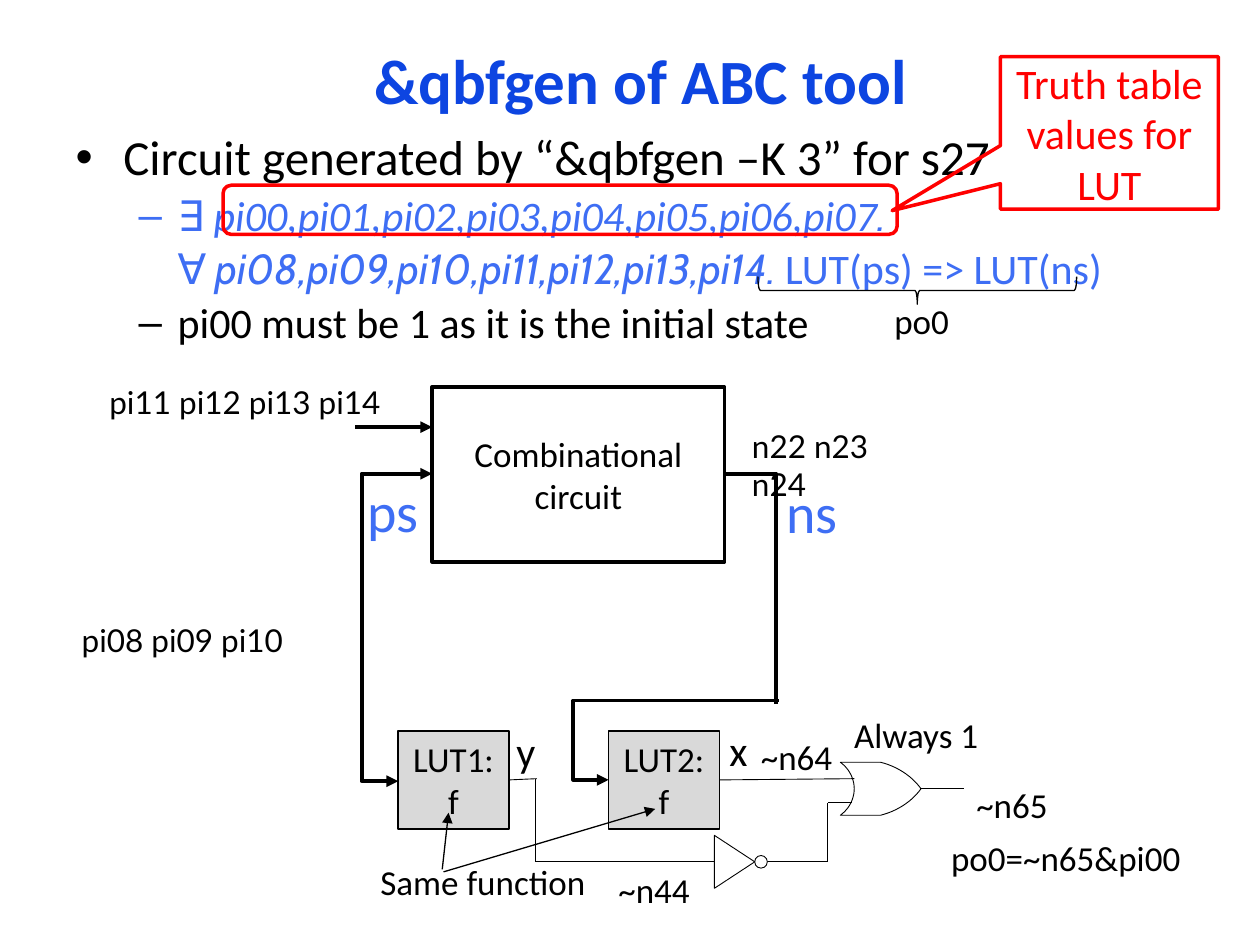
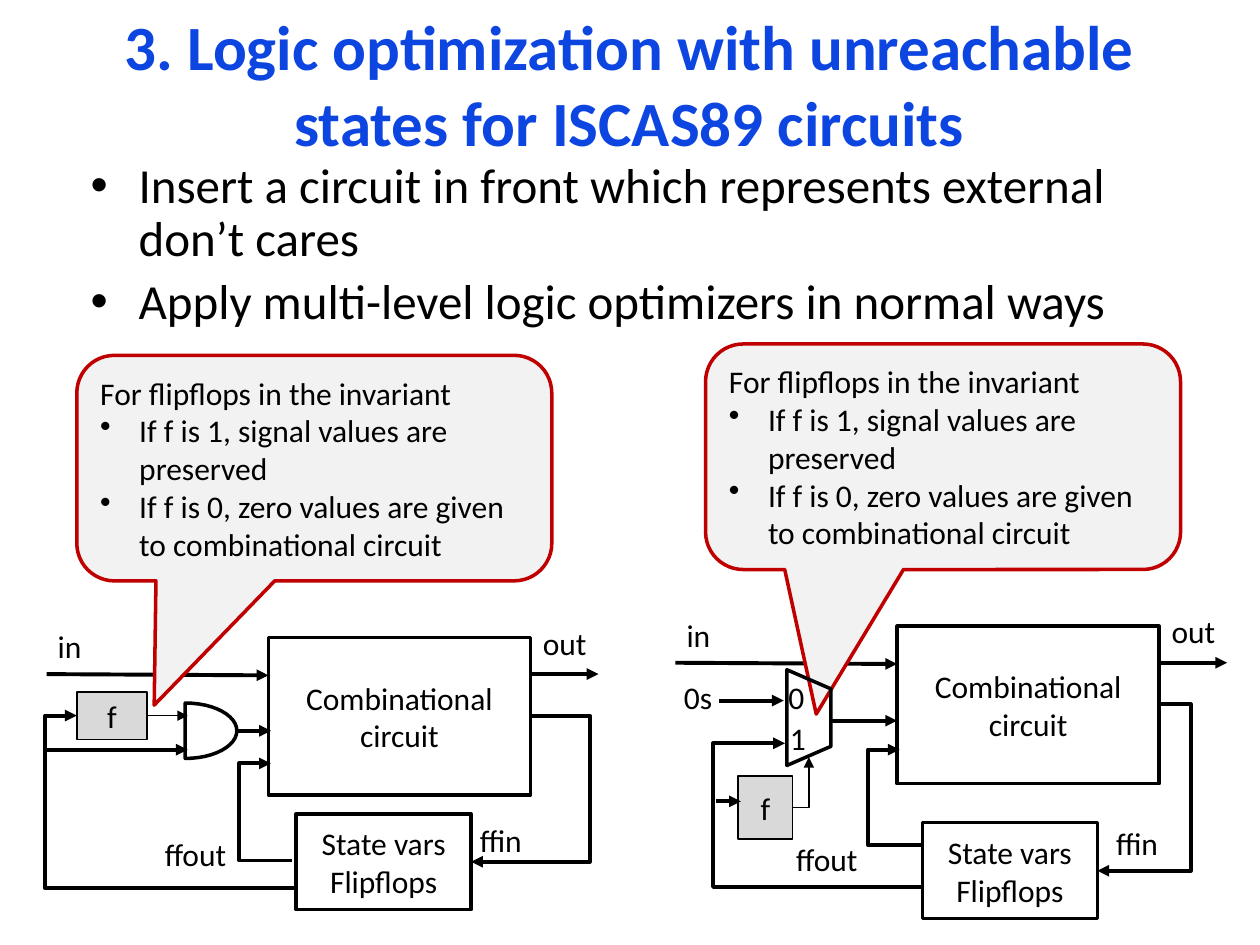
from pptx import Presentation
from pptx.dml.color import RGBColor
from pptx.enum.shapes import MSO_CONNECTOR, MSO_SHAPE
from pptx.enum.text import MSO_ANCHOR, MSO_AUTO_SIZE, PP_ALIGN
from pptx.oxml.ns import qn
from pptx.util import Inches, Pt
from lxml import etree

COLORS = {"title": "0D45E1", "accent": "3E6EF4", "ink": "000000", "gate": "D9D9D9",
          "white": "FFFFFF", "mark": "FF0000", "note": "F2F2F2", "note_line": "C00000"}
FONT, FORMULA_FONT, SIGNAL_FONT = "Calibri", "Cabin", "Lato"
CENTER, LEFT = PP_ALIGN.CENTER, PP_ALIGN.LEFT
MIDDLE, TOP = MSO_ANCHOR.MIDDLE, MSO_ANCHOR.TOP
NO_FIT = MSO_AUTO_SIZE.NONE
STRAIGHT, ELBOW = MSO_CONNECTOR.STRAIGHT, MSO_CONNECTOR.ELBOW
RECT, ROUND_RECT, OVAL = MSO_SHAPE.RECTANGLE, MSO_SHAPE.ROUNDED_RECTANGLE, MSO_SHAPE.OVAL
BRACE, MUX = MSO_SHAPE.RIGHT_BRACE, MSO_SHAPE.FLOWCHART_MANUAL_OPERATION
CALLOUT, ROUND_CALLOUT = MSO_SHAPE.RECTANGULAR_CALLOUT, MSO_SHAPE.ROUNDED_RECTANGULAR_CALLOUT
RIGHT_SIDE = 3
THIN, FINE, BOLD = 0.5, 0.75, 2.25


def rgb(name):
    return RGBColor.from_string(COLORS[name])


def add_run(p, text, size, color="ink", font=FONT, bold=False, italic=False):
    r = p.add_run()
    r.text = text
    r.font.size, r.font.name = Pt(size), font
    r.font.bold, r.font.italic = bold, italic
    r.font.color.rgb = rgb(color)


def set_indent(p, left, first, bullet=None):
    pPr = p._p.get_or_add_pPr()
    pPr.set("marL", str(Inches(left)))
    pPr.set("indent", str(Inches(first)))
    if bullet:
        etree.SubElement(pPr, qn("a:buChar")).set("char", bullet)
    else:
        etree.SubElement(pPr, qn("a:buNone"))


def paragraphs(tf, count):
    return [tf.paragraphs[0]] + [tf.add_paragraph() for _ in range(count - 1)]


def place(sp, box):
    sp.left, sp.top, sp.width, sp.height = map(Inches, box)


def style(sp, fill=None, line="ink", width=2):
    sp.shadow.inherit = False
    if fill:
        sp.fill.solid()
        sp.fill.fore_color.rgb = rgb(fill)
    else:
        sp.fill.background()
    sp.line.color.rgb = rgb(line)
    sp.line.width = Pt(width)


def add_box(s, kind, box, text="", size=20, fill=None, line="ink", width=2, color="ink", adj=()):
    sp = s.shapes.add_shape(kind, *map(Inches, box))
    style(sp, fill, line, width)
    for i, value in enumerate(adj):
        sp.adjustments[i] = value
    if text:
        lines = text.split("\n")
        for p, part in zip(paragraphs(sp.text_frame, len(lines)), lines):
            p.alignment = CENTER
            add_run(p, part, size, color)
    return sp


def add_label(s, box, text, size=20, color="ink", font=FONT, wrap=False):
    tf = s.shapes.add_textbox(*map(Inches, box)).text_frame
    tf.word_wrap = wrap
    add_run(tf.paragraphs[0], text, size, color, font)


def add_wire(s, start, end, width=BOLD, arrow=True, bend=None, source=None):
    kind = STRAIGHT if bend is None else ELBOW
    c = s.shapes.add_connector(kind, *map(Inches, (*start, *end)))
    if source is not None:
        c.begin_connect(source, RIGHT_SIDE)
    if bend is not None:
        if bend == end[0]:
            c._element.spPr.find(qn("a:prstGeom")).set("prst", "bentConnector2")
        else:
            geom = c._element.spPr.find(qn("a:prstGeom"))
            guides = geom.find(qn("a:avLst"))
            if guides is None:
                guides = etree.SubElement(geom, qn("a:avLst"))
            ratio = (bend - start[0]) / (end[0] - start[0])
            etree.SubElement(guides, qn("a:gd"), name="adj1", fmla=f"val {round(ratio * 100000)}")
    c.line.color.rgb = rgb("ink")
    c.line.width = Pt(width)
    if arrow:
        etree.SubElement(c.line._get_or_add_ln(), qn("a:tailEnd")).set("type", "triangle")
    etree.SubElement(c._element.spPr, qn("a:effectLst"))


def bezier(a, b, c, d, steps=12):
    def point(t):
        u = 1 - t
        return tuple(u**3 * i + 3 * u * u * t * j + 3 * u * t * t * k + t**3 * m
                     for i, j, k, m in zip(a, b, c, d))
    return [point(n / steps) for n in range(steps + 1)]


def add_outline(s, points, fill=None, width=2):
    pts = [(Inches(x), Inches(y)) for x, y in points]
    builder = s.shapes.build_freeform(*pts[0])
    builder.add_line_segments(pts[1:], close=True)
    style(builder.convert_to_shape(), fill, width=width)


def add_slide(prs, title, title_box, body_box, items):
    s = prs.slides.add_slide(prs.slide_layouts[1])
    head, body = s.shapes.title, s.placeholders[1]
    for sp, box, anchor in ((head, title_box, MIDDLE), (body, body_box, TOP)):
        place(sp, box)
        sp.text_frame.auto_size = NO_FIT
        sp.text_frame.word_wrap = True
        sp.text_frame.vertical_anchor = anchor
    p = head.text_frame.paragraphs[0]
    p.alignment = CENTER
    add_run(p, title, 36, "title", bold=True)
    ps = paragraphs(body.text_frame, len(items))
    for p, (level, bullet, runs) in zip(ps, items):
        p.level = level
        left, hang = ((0.38, -0.38), (0.81, -0.31))[level]
        p.line_spacing = 0.9
        if p is ps[0]:
            p.space_before = Pt(0)
        set_indent(p, left, hang if bullet else 0, bullet)
        for text, fmt in runs:
            add_run(p, text, (28, 24)[level], **fmt)
    return s


def draw_next_state_logic(s, x, y):
    add_box(s, RECT, (x + 0.61, y, 2.32, 1.39), "Combinational\ncircuit")
    add_wire(s, (x + 2.93, y + 0.69), (x + 3.34, y + 2.49), arrow=False, bend=x + 3.34)
    add_wire(s, (x + 0.05, y + 2.21), (x + 0.61, y + 0.69), bend=x + 0.05)
    add_wire(s, (x, y + 0.32), (x + 0.61, y + 0.32))
    add_wire(s, (x + 0.05, y + 1.96), (x + 0.34, y + 3.13), bend=x + 0.05)
    add_wire(s, (x + 3.36, y + 2.49), (x + 2.01, y + 3.12), bend=x + 1.73)
    add_wire(s, (x + 3.34, y + 1.5), (x + 3.34, y + 2.52), arrow=False)
    add_label(s, (x, y + 0.66, 0.62, 0.64), "ps", 32, "accent")
    add_label(s, (x + 3.32, y + 0.67, 0.63, 0.64), "ns", 32, "accent")
    for dx, dy, w, text, wrap in ((-2.27, 1.81, 1.97, "pi08 pi09 pi10", False),
                                  (-2.05, -0.08, 2.66, "pi11 pi12 pi13 pi14", True),
                                  (3.05, 0.27, 1.4, "n22 n23 n24", True)):
        add_label(s, (x + dx, y + dy, w, 0.4), text, 18, font=SIGNAL_FONT, wrap=wrap)


def draw_lut_check(s, x, y):
    luts = [add_box(s, RECT, (x + dx, y, 0.88, 0.78), f"{name}:\nf", fill="gate", width=1)
            for name, dx in (("LUT1", 0), ("LUT2", 1.67))]
    for start, end in (((0.35, 1.1), (0.4, 0.65)), ((0.36, 1.12), (2.04, 0.62))):
        add_wire(s, (x + start[0], y + start[1]), (x + end[0], y + end[1]), FINE)
    add_wire(s, (x + 0.88, y + 0.38), (x + 1.1, y + 0.38), THIN, False, source=luts[0])
    add_wire(s, (x + 2.55, y + 0.38), (x + 3.62, y + 0.38), THIN, False, source=luts[1])
    for x1, y1, x2, y2 in ((1.09, 0.38, 1.09, 1.04), (1.09, 1.04, 3.41, 1.04),
                           (3.41, 1.04, 3.41, 0.57), (3.41, 0.57, 3.6, 0.57),
                           (4.14, 0.46, 4.49, 0.46)):
        add_wire(s, (x + x1, y + y1), (x + x2, y + y2), THIN, False)
    draw_or_gate(s, x + 3.51, y + 0.25)
    add_box(s, OVAL, (x + 2.83, y + 0.99, 0.1, 0.1), fill="white", width=THIN)
    inverter = ((2.51, 1.25), (2.83, 1.04), (2.51, 0.83))
    add_outline(s, [(x + dx, y + dy) for dx, dy in inverter], "white", THIN)
    for dx, dy, w, text, size in ((-0.24, 0.98, 1.85, "Same function", 20),
                                  (3.52, -0.19, 1.22, "Always 1", 20),
                                  (2.53, -0.1, 0.33, "x", 24), (0.84, -0.09, 0.35, "y", 24),
                                  (4.49, 0.37, 0.77, "~n65", 20), (2.78, -0.01, 0.77, "~n64", 20),
                                  (1.65, 1.04, 0.77, "~n44", 20),
                                  (4.29, 0.79, 2.03, "po0=~n65&pi00", 20)):
        add_label(s, (x + dx, y + dy, w, 0.44), text, size)


def draw_or_gate(s, x, y):
    back = bezier((x, y), (x + 0.07, y + 0.05), (x + 0.11, y + 0.13), (x + 0.11, y + 0.21))
    front = bezier((x + 0.32, y), (x + 0.44, y + 0.03), (x + 0.56, y + 0.1), (x + 0.64, y + 0.21))
    lower_back, lower_front = ([(px, 2 * y + 0.42 - py) for px, py in curve]
                               for curve in (back, front))
    add_outline(s, back + lower_back[::-1] + lower_front + front[::-1], width=THIN)


def draw_formula_notes(s, x, y):
    add_label(s, (x + 5.23, y + 0.86, 0.64, 0.44), "po0")
    add_box(s, BRACE, (x + 5.4, y - 0.43, 0.22, 2.53), width=FINE).rotation = 90
    add_box(s, ROUND_RECT, (x, y, 5.35, 0.39), line="mark")
    add_box(s, CALLOUT, (x + 6.17, y - 1.02, 1.73, 1.21), "Truth table values for LUT", 24,
            line="mark", color="mark", adj=(-0.997, 0.51))


def draw_note(s, x, y, pointer):
    sp = add_box(s, ROUND_CALLOUT, (x, y, 3.77, 1.79), fill="note", line="note_line", adj=pointer)
    lines = ("For flipflops in the invariant", "If f is 1, signal values are preserved",
             "If f is 0, zero values are given to combinational circuit")
    for i, (p, text) in enumerate(zip(paragraphs(sp.text_frame, len(lines)), lines)):
        p.alignment = LEFT
        if i:
            set_indent(p, 0.31, -0.31, "•")
        add_run(p, text, 18)


def draw_state_machine(s, x, y, state, ffin, ffout, loop_x, state_in, feedback, pointer):
    add_box(s, RECT, (x + 1.77, y + 2.24, 2.08, 1.25), "Combinational\ncircuit", 18)
    sx, sy = x + state[0], y + state[1]
    add_box(s, RECT, (sx, sy, 1.39, 0.76), "State vars\nFlipflops", 18)
    add_wire(s, (x + 3.85, y + 2.86), (sx + 1.39, sy + 0.38), bend=x + loop_x)
    add_wire(s, (x + 0.01, y + 2.53), (x + 1.77, y + 2.54))
    add_wire(s, (x + 3.85, y + 2.53), (x + 4.39, y + 2.53))
    out_y, end_x, end_y, bend = feedback
    add_wire(s, (sx, y + out_y), (x + end_x, y + end_y), bend=x + bend)
    add_wire(s, (x + 1.96, y + state_in[0]), (x + 1.79, y + state_in[1]), bend=x + 1.54)
    for (dx, dy), w, text in (((0, 2.11), 0.39, "in"), ((3.85, 2.08), 0.55, "out"),
                              (ffin, 0.67, "ffin"), (ffout, 0.7, "ffout")):
        add_label(s, (x + dx, y + dy, w, 0.4), text, 18, wrap=text == "ffin")
    draw_note(s, x + 0.25, y, pointer)


def draw_and_masking(s, x, y):
    f = add_box(s, RECT, (x, y, 0.56, 0.38), "f", 18, "gate", width=1)
    gx, gy = x + 0.86, y + 0.09
    upper = bezier((gx, gy), (gx + 0.23, gy), (gx + 0.41, gy + 0.1), (gx + 0.41, gy + 0.22))
    lower = [(px, 2 * gy + 0.44 - py) for px, py in upper[::-1]]
    add_outline(s, upper + lower)
    add_wire(s, (x + 0.56, y + 0.19), (x + 0.88, y + 0.19), FINE, source=f)
    add_wire(s, (x + 1.27, y + 0.31), (x + 1.54, y + 0.31))
    add_wire(s, (x - 0.25, y + 0.46), (x + 0.88, y + 0.46))


def draw_mux_masking(s, x, y):
    add_box(s, RECT, (x, y, 0.43, 0.5), "f", 18, "gate", width=1)
    add_box(s, MUX, (x + 0.18, y - 0.64, 0.76, 0.35)).rotation = 270
    add_wire(s, (x + 0.74, y - 0.44), (x + 1.26, y - 0.44))
    add_wire(s, (x - 0.15, y - 0.6), (x + 0.36, y - 0.6))
    add_wire(s, (x - 0.18, y + 0.2), (x + 0.02, y + 0.2))
    add_wire(s, (x + 0.43, y + 0.25), (x + 0.56, y - 0.15), 1, bend=x + 0.56)
    add_label(s, (x - 0.53, y - 0.83, 0.43, 0.4), "0s", 18)
    for dx, dy, text in ((0.3, -0.83, "0"), (0.31, -0.5, "1")):
        add_label(s, (x + dx, y + dy, 0.2, 0.4), text, 18, wrap=True)


def build_qbfgen(prs):
    formula = {"color": "accent", "font": FORMULA_FONT, "italic": True}
    items = [
        (0, "•", [("Circuit generated by “&qbfgen –K 3” for s27", {})]),
        (1, "–", [("∃ ", formula),
                  ("pi00,pi01,pi02,pi03,pi04,pi05,pi06,pi07", {**formula, "font": FONT}),
                  (".", formula)]),
        (1, None, [("∀ pi08,pi09,pi10,pi11,pi12,pi13,pi14. ", formula),
                   ("LUT(ps) => LUT(ns)", {"color": "accent"})]),
        (1, "–", [("pi00 must be 1 as it is the initial state", {})])]
    s = add_slide(prs, "&qbfgen of ABC tool", (0.59, 0.25, 8.99, 0.76),
                  (0.5, 1.01, 8.52, 5.44), items)
    draw_lut_check(s, 3.16, 5.8)
    draw_next_state_logic(s, 2.82, 3.07)
    draw_formula_notes(s, 1.77, 1.47)


def build_optimization(prs):
    items = [(0, "•", [(text, {})]) for text in (
        "Insert a circuit in front which represents external don’t cares",
        "Apply multi-level logic optimizers in normal ways")]
    s = add_slide(prs, "3. Logic optimization with unreachable states for ISCAS89 circuits",
                  (0.64, 0.01, 8.71, 1.3), (0.62, 1.23, 8.87, 5.75), items)
    draw_state_machine(s, 0.36, 2.82, state=(1.99, 3.64), ffin=(3.35, 3.65), ffout=(0.85, 3.76),
                       loop_x=4.32, state_in=(4.01, 3.24), feedback=(4.23, 0.25, 2.86, 0),
                       pointer=(-0.337, 1.051, 0.167))
    draw_and_masking(s, 0.61, 5.49)
    draw_state_machine(s, 5.35, 2.73, state=(1.97, 3.8), ffin=(3.41, 3.76), ffout=(0.87, 3.89),
                       loop_x=4.1, state_in=(3.98, 3.22), feedback=(4.31, 0.88, 3.17, 0.31),
                       pointer=(-0.267, 1.141, 0.167))
    draw_mux_masking(s, 5.86, 6.16)


def main():
    prs = Presentation()
    prs.slide_width, prs.slide_height = Inches(10), Inches(7.5)
    build_qbfgen(prs)
    build_optimization(prs)
    prs.save("out.pptx")


if __name__ == "__main__":
    main()
